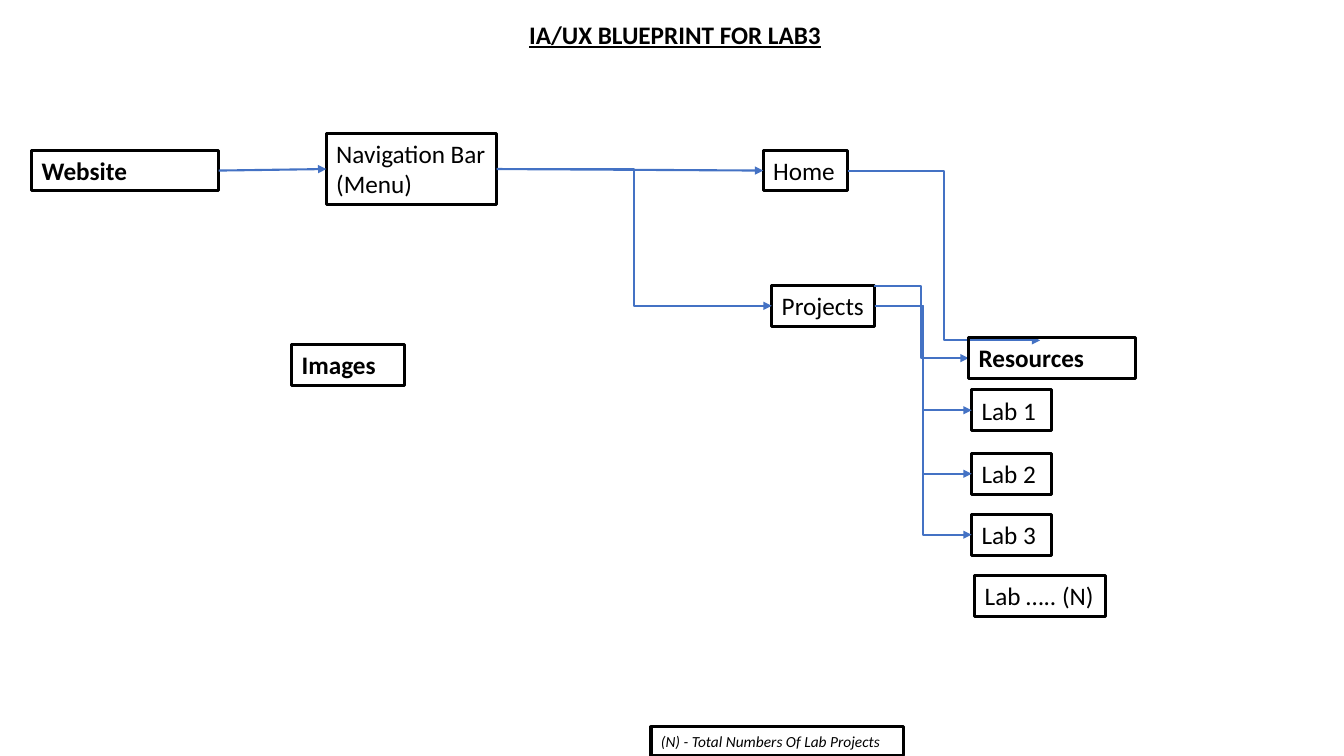
import dataclasses
import typing

import lxml.etree
import pptx
import pptx.dml.color
import pptx.enum.shapes
import pptx.enum.text
import pptx.oxml.ns
import pptx.util

Pt = pptx.util.Pt
ELBOW = pptx.enum.shapes.MSO_CONNECTOR.ELBOW
STRAIGHT = pptx.enum.shapes.MSO_CONNECTOR.STRAIGHT
BLACK = pptx.dml.color.RGBColor(0x00, 0x00, 0x00)
BLUE = pptx.dml.color.RGBColor(0x44, 0x72, 0xC4)
FONT = "Calibri"
LINE_HEIGHT = 29.1
LEFT_SITE, RIGHT_SITE = 1, 3


@dataclasses.dataclass
class Label:
    text: str
    left: float
    top: float
    width: float
    height: float = LINE_HEIGHT
    size: float = 18
    bold: bool = False
    italic: bool = False
    underline: bool = False
    outlined: bool = True


@dataclasses.dataclass
class Arrow:
    """Each end is a box text or a free (x, y) point."""
    start: typing.Any
    end: typing.Any
    kind: typing.Any = ELBOW


LABS = ["Lab 1", "Lab 2", "Lab 3"]
LAB_TOPS = [278.5, 323.9, 367.4]

LABELS = [
    Label("IA/UX BLUEPRINT FOR LAB3", 370.9, 10.2, 228.2,
          bold=True, underline=True, outlined=False),
    Label("Website", 22.7, 107.3, 133.5, bold=True),
    Label("Navigation Bar (Menu)", 233.1, 95.3, 121.7, height=50.9),
    Label("Home", 545.2, 107.3, 60.2),
    Label("Projects", 551.3, 203.9, 73.4),
    Label("Images", 208.4, 246.2, 80.6, bold=True),
    *[Label(lab, 694, top, 57.3) for lab, top in zip(LABS, LAB_TOPS)],
    Label("Lab \u2026.. (N)", 696.3, 411.2, 93.2),
    Label("(N) - Total Numbers Of Lab Projects", 465, 519.2, 180.4,
          height=20.6, size=11, italic=True),
    Label("Resources", 691.9, 241.3, 119.2, bold=True),
]

ARROWS = [
    Arrow("Website", "Navigation Bar (Menu)", STRAIGHT),
    Arrow("Navigation Bar (Menu)", "Home", STRAIGHT),
    Arrow("Navigation Bar (Menu)", "Projects"),
    *[Arrow("Projects", lab) for lab in LABS],
    Arrow((624.3, 204.1), "Resources"),
    Arrow("Home", (743, 243.1)),
]


def add_label(slide: typing.Any, label: Label) -> typing.Any:
    box = slide.shapes.add_textbox(
        Pt(label.left), Pt(label.top), Pt(label.width), Pt(label.height))
    if label.outlined:
        box.line.color.rgb = BLACK
        box.line.width = Pt(2.25)
    frame = box.text_frame
    frame.text = label.text
    frame.word_wrap = True
    frame.auto_size = pptx.enum.text.MSO_AUTO_SIZE.SHAPE_TO_FIT_TEXT
    font = frame.paragraphs[0].runs[0].font
    font.name = FONT
    font.size = Pt(label.size)
    font.color.rgb = BLACK
    font.bold = label.bold
    font.italic = label.italic
    font.underline = label.underline
    return box


def add_arrow(slide: typing.Any, arrow: Arrow, boxes: dict) -> None:
    start = (0, 0) if arrow.start in boxes else arrow.start
    end = (0, 0) if arrow.end in boxes else arrow.end
    connector = slide.shapes.add_connector(
        arrow.kind, *[Pt(value) for value in (*start, *end)])
    if arrow.start in boxes:
        connector.begin_connect(boxes[arrow.start], RIGHT_SITE)
    if arrow.end in boxes:
        connector.end_connect(boxes[arrow.end], LEFT_SITE)
    connector.line.color.rgb = BLUE
    connector.line.width = Pt(1.5)
    # Arrowhead, and no shadow
    line = connector.line._get_or_add_ln()
    lxml.etree.SubElement(line, pptx.oxml.ns.qn("a:tailEnd"), type="triangle")
    lxml.etree.SubElement(
        connector._element.spPr, pptx.oxml.ns.qn("a:effectLst"))


# Deck with one blank page
deck = pptx.Presentation()
deck.slide_width, deck.slide_height = Pt(960), Pt(540)
page = deck.slides.add_slide(deck.slide_layouts[6])

# Boxes first, then the arrows that join them
page_boxes = {label.text: add_label(page, label) for label in LABELS}
for page_arrow in ARROWS:
    add_arrow(page, page_arrow, page_boxes)

# The Resources outline covers the arrow that ends inside it
page.shapes._spTree.append(page_boxes["Resources"]._element)

deck.save("out.pptx")
